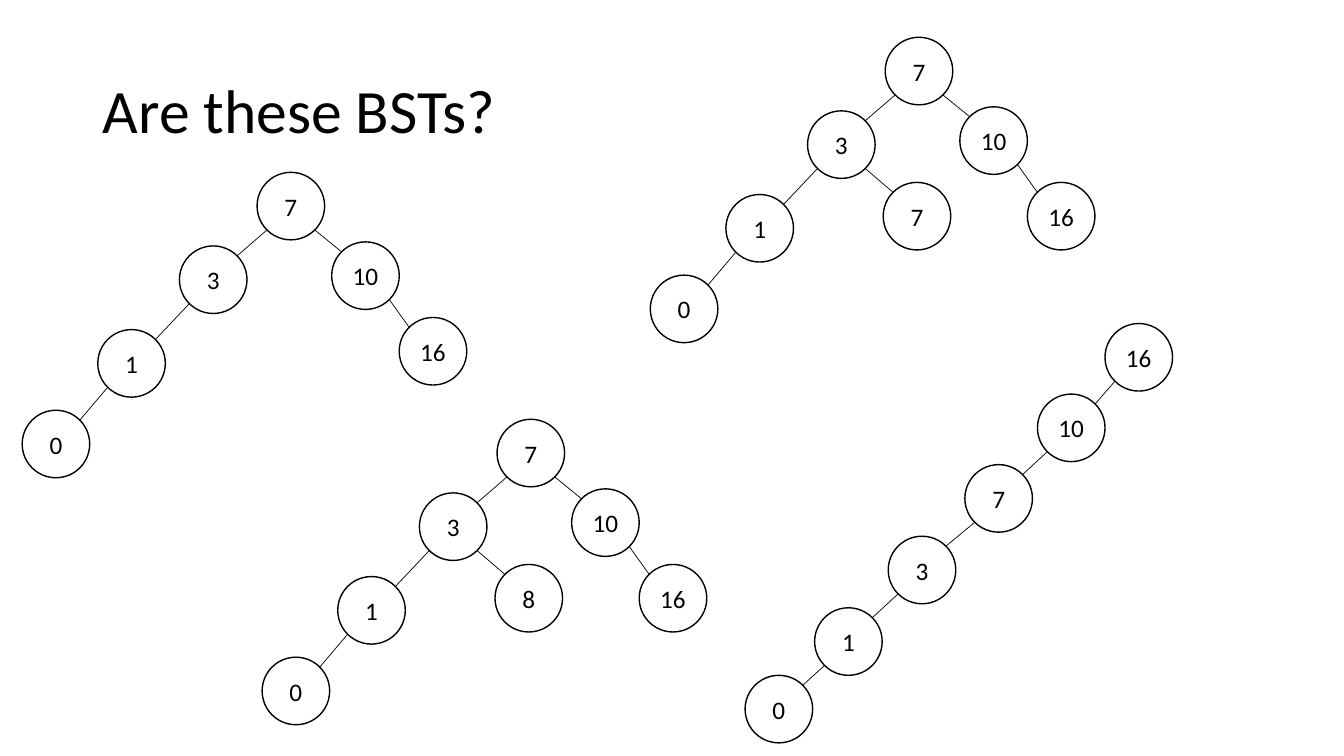
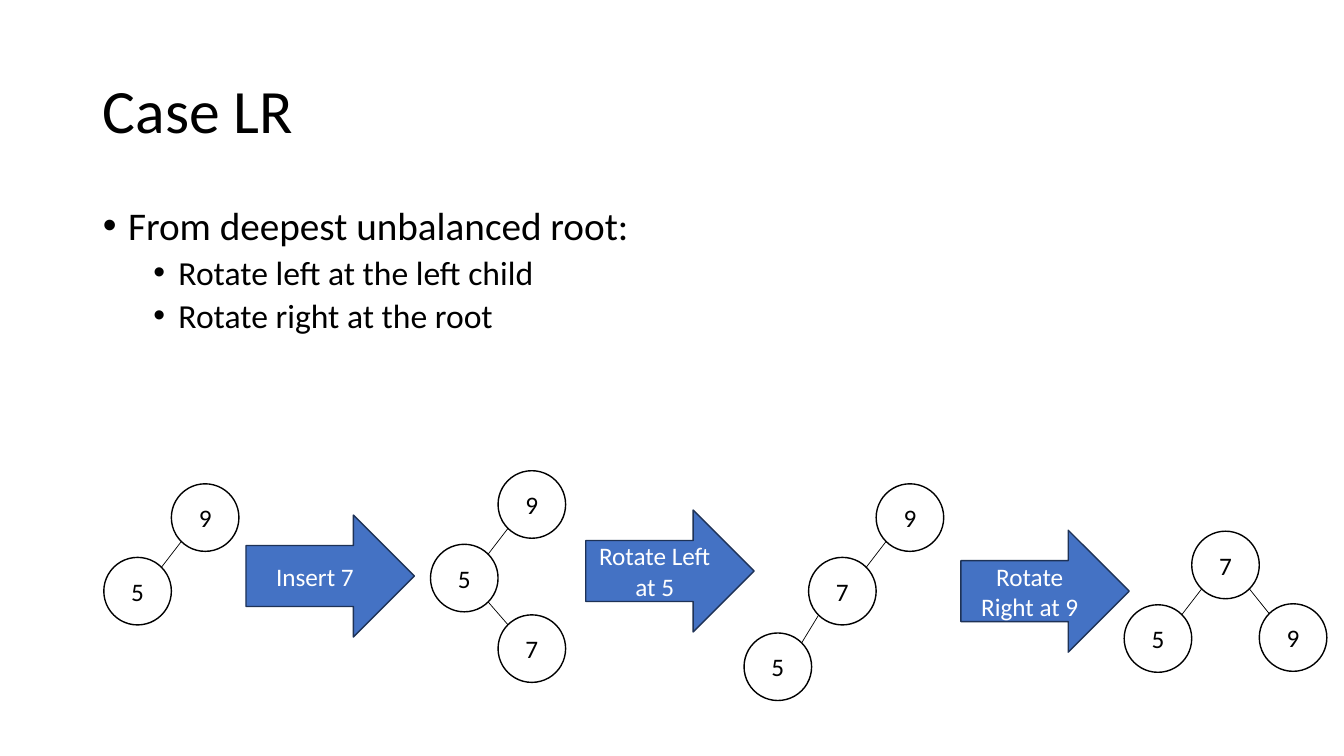
import dataclasses

import lxml.etree
import pptx
import pptx.dml.color
import pptx.enum.shapes
import pptx.enum.text
import pptx.oxml.ns
import pptx.util

Inches = pptx.util.Inches
Pt = pptx.util.Pt
qualified = pptx.oxml.ns.qn
Shapes = pptx.enum.shapes.MSO_SHAPE
Align = pptx.enum.text.PP_ALIGN
Anchor = pptx.enum.text.MSO_ANCHOR


@dataclasses.dataclass(frozen=True)
class Theme:
    font: str = "Calibri"
    ink: str = "000000"
    paper: str = "FFFFFF"
    arrow_fill: str = "4472C4"
    arrow_line: str = "1E3256"
    title_size: int = 44
    body_sizes: tuple = (28, 24)
    label_size: int = 18
    outline: float = 1
    edge: float = 0.5
    line_spacing: float = 0.9


THEME = Theme()
TITLE_BOX = (0.92, 0.4, 11.5, 1.45)
BODY_BOX = (0.92, 2, 11.5, 4.76)
NODE = 0.67
ARROW_SIZE = (1.67, 1.21)
TITLE_AND_CONTENT, TITLE_ONLY = 1, 5

# Connection sites of an ellipse: index and place as a share of its size.
NEAR, FAR = 0.15, 0.85
TOP_LEFT = (1, NEAR, NEAR)
BOTTOM_LEFT = (3, NEAR, FAR)
BOTTOM_RIGHT = (5, FAR, FAR)
TOP_RIGHT = (7, FAR, NEAR)

# A tree lists its nodes as (label, left, top, index of parent).
SPARSE_TREE = [
    ("7", 2.33, 0, None),
    ("3", 1.56, 0.73, 0),
    ("10", 3.07, 0.69, 0),
    ("1", 0.75, 1.56, 1),
    ("16", 3.74, 1.44, 2),
    ("0", 0, 2.36, 3),
]
CHAIN_TREE = [
    ("16", 3.57, 0, None),
    ("10", 2.9, 0.7, 0),
    ("7", 2.18, 1.4, 1),
    ("3", 1.42, 2.11, 2),
    ("1", 0.69, 2.82, 3),
    ("0", 0, 3.49, 4),
]


def with_right_child_of_three(label):
    return SPARSE_TREE + [(label, 2.31, 1.44, 1)]


CANDIDATE_TREES = [
    (0.22, 1.71, SPARSE_TREE),
    (7.39, 3.21, CHAIN_TREE),
    (6.45, 0.37, with_right_child_of_three("7")),
    (2.6, 4.16, with_right_child_of_three("8")),
]

LEFT_PAIR = [("9", 0.67, 0, None), ("5", 0, 0.73, 0)]
ROTATION_TREES = [
    (1.03, 4.8, LEFT_PAIR),
    (4.27, 4.67, LEFT_PAIR + [("7", 0.67, 1.43, 1)]),
    (7.38, 4.8, [("9", 1.31, 0, None), ("7", 0.64, 0.73, 0), ("5", 0, 1.48, 1)]),
    (11.15, 5.27, [("7", 0.67, 0, None), ("5", 0, 0.73, 0), ("9", 1.34, 0.72, 0)]),
]
ROTATION_STEPS = [
    (2.44, 5.11, "Insert 7"),
    (5.81, 5.06, "Rotate Left at 5"),
    (9.53, 5.26, "Rotate Right at 9"),
]
ROTATION_RULE = [
    (0, "From deepest unbalanced root:"),
    (1, "Rotate left at the left child"),
    (1, "Rotate right at the root"),
]


def color(value):
    return pptx.dml.color.RGBColor.from_string(value)


def add_run(paragraph, text, size, ink=THEME.ink):
    run = paragraph.add_run()
    run.text = text
    run.font.name = THEME.font
    run.font.size = Pt(size)
    run.font.color.rgb = color(ink)


def place(shape, box):
    shape.left, shape.top, shape.width, shape.height = map(Inches, box)


def add_labelled_shape(shapes, preset, box, label, fill, line, ink):
    shape = shapes.add_shape(preset, *map(Inches, box))
    shape.shadow.inherit = False
    shape.fill.solid()
    shape.fill.fore_color.rgb = color(fill)
    shape.line.color.rgb = color(line)
    shape.line.width = Pt(THEME.outline)
    shape.text_frame.word_wrap = True
    shape.text_frame.vertical_anchor = Anchor.MIDDLE
    paragraph = shape.text_frame.paragraphs[0]
    paragraph.alignment = Align.CENTER
    add_run(paragraph, label, THEME.label_size, ink)
    return shape


def add_node(shapes, left, top, label):
    node = add_labelled_shape(shapes, Shapes.OVAL, (left, top, NODE, NODE), label,
                              THEME.paper, THEME.ink, THEME.ink)
    frame = node.text_frame
    frame.word_wrap = False
    frame.margin_left = frame.margin_right = frame.margin_top = frame.margin_bottom = 0
    return node


def add_edge(shapes, parent, child):
    """Glue a line from the lower side of the parent to the facing upper side of the child."""
    if child.left < parent.left:
        ends = [(parent, BOTTOM_LEFT, "a:stCxn"), (child, TOP_RIGHT, "a:endCxn")]
    else:
        ends = [(parent, BOTTOM_RIGHT, "a:stCxn"), (child, TOP_LEFT, "a:endCxn")]
    points = []
    for node, (_, across, down) in [(node, site) for node, site, _ in ends]:
        points += [int(node.left + node.width * across), int(node.top + node.height * down)]
    edge = shapes.add_connector(pptx.enum.shapes.MSO_CONNECTOR.STRAIGHT, *points)
    edge.line.color.rgb = color(THEME.ink)
    edge.line.width = Pt(THEME.edge)
    lxml.etree.SubElement(edge._element.spPr, qualified("a:effectLst"))
    glue = edge._element.nvCxnSpPr.cNvCxnSpPr
    for node, site, tag in ends:
        lxml.etree.SubElement(glue, qualified(tag), id=str(node.shape_id), idx=str(site[0]))


def add_tree(slide, left, top, tree):
    shapes = slide.shapes.add_group_shape().shapes
    nodes = [add_node(shapes, left + x, top + y, label) for label, x, y, _ in tree]
    for node, (_, _, _, parent) in zip(nodes, tree):
        if parent is not None:
            add_edge(shapes, nodes[parent], node)


def add_step_arrow(slide, left, top, label):
    add_labelled_shape(slide.shapes, Shapes.RIGHT_ARROW, (left, top, *ARROW_SIZE), label,
                       THEME.arrow_fill, THEME.arrow_line, THEME.paper)


def add_titled_slide(presentation, layout, title):
    slide = presentation.slides.add_slide(presentation.slide_layouts[layout])
    place(slide.shapes.title, TITLE_BOX)
    frame = slide.shapes.title.text_frame
    frame.auto_size = pptx.enum.text.MSO_AUTO_SIZE.NONE
    frame.vertical_anchor = Anchor.MIDDLE
    paragraph = frame.paragraphs[0]
    paragraph.alignment = Align.LEFT
    paragraph.line_spacing = THEME.line_spacing
    add_run(paragraph, title, THEME.title_size)
    return slide


def fill_bullets(body, box, items):
    place(body, box)
    frame = body.text_frame
    frame.auto_size = pptx.enum.text.MSO_AUTO_SIZE.NONE
    for index, (level, text) in enumerate(items):
        paragraph = frame.add_paragraph() if index else frame.paragraphs[0]
        paragraph.level = level
        paragraph.line_spacing = THEME.line_spacing
        paragraph.space_before = Pt(5 if index else 0)
        properties = paragraph._p.get_or_add_pPr()
        properties.set("marL", str(Inches(0.25 + 0.5 * level)))
        properties.set("indent", str(Inches(-0.25)))
        lxml.etree.SubElement(properties, qualified("a:buFont"), typeface="Arial")
        lxml.etree.SubElement(properties, qualified("a:buChar"), char="•")
        add_run(paragraph, text, THEME.body_sizes[level])


def build_candidates_slide(presentation):
    slide = add_titled_slide(presentation, TITLE_ONLY, "Are these BSTs?")
    for left, top, tree in CANDIDATE_TREES:
        add_tree(slide, left, top, tree)


def build_rotation_slide(presentation):
    slide = add_titled_slide(presentation, TITLE_AND_CONTENT, "Case LR")
    fill_bullets(slide.placeholders[1], BODY_BOX, ROTATION_RULE)
    for left, top, tree in ROTATION_TREES:
        add_tree(slide, left, top, tree)
    for left, top, label in ROTATION_STEPS:
        add_step_arrow(slide, left, top, label)


def main():
    presentation = pptx.Presentation()
    presentation.slide_width = Inches(13.33)
    presentation.slide_height = Inches(7.5)
    build_candidates_slide(presentation)
    build_rotation_slide(presentation)
    presentation.save("out.pptx")


if __name__ == "__main__":
    main()
